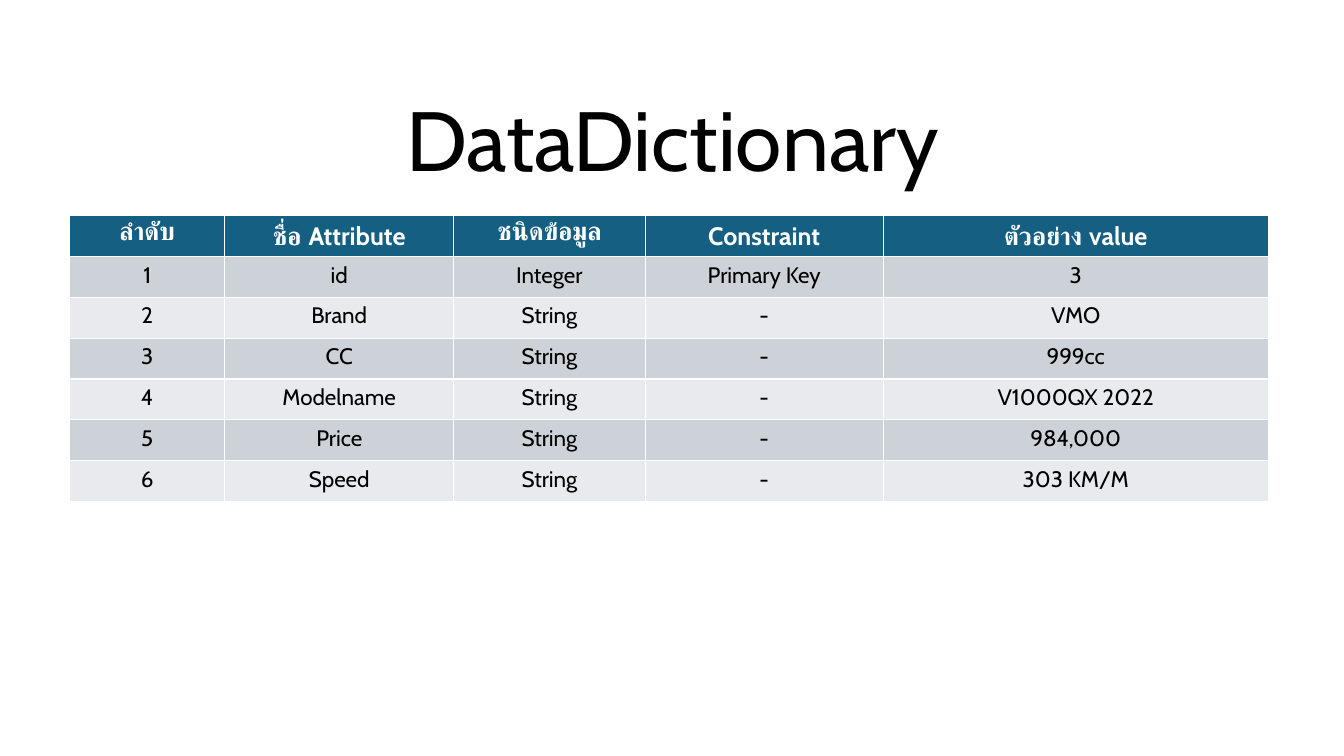
from pptx import Presentation
from pptx.dml.color import RGBColor
from pptx.enum.text import MSO_ANCHOR, PP_ALIGN
from pptx.util import Inches, Pt

CENTER = PP_ALIGN.CENTER
BOTTOM = MSO_ANCHOR.BOTTOM

COLORS = {
    "title": "000000",
    "header": "156082",
    "header_text": "FFFFFF",
    "odd_row": "CCD2D8",
    "even_row": "E8EAED",
    "body_text": "000000",
}
TITLE_FONT = {"name": "Cabin", "size": Pt(60), "bold": False}
HEADER_FONT = {"name": "Cabin", "size": Pt(18), "bold": True}
BODY_FONT = {"name": "Cabin", "size": Pt(16), "bold": False}

COL_WIDTHS = [1.54, 2.27, 1.9, 2.36, 3.82]
ROW_HEIGHT = 0.405
ROWS = [
    ["ลำดับ", "ชื่อ Attribute", "ชนิดข้อมูล", "Constraint", "ตัวอย่าง value"],
    ["1", "id", "Integer", "Primary Key", "3"],
    ["2", "Brand", "String", "-", "VMO"],
    ["3", "CC", "String", "-", "999cc"],
    ["4", "Modelname", "String", "-", "V1000QX 2022"],
    ["5", "Price", "String", "-", "984,000"],
    ["6", "Speed", "String", "-", "303 KM/M"],
]


def write_centered(tf, text, font, color):
    p = tf.paragraphs[0]
    p.alignment = CENTER
    r = p.add_run()
    r.text = text
    for name, value in font.items():
        setattr(r.font, name, value)
    r.font.color.rgb = RGBColor.from_string(COLORS[color])
    return p


prs = Presentation()
prs.slide_width, prs.slide_height = Inches(13.33), Inches(7.5)
s = prs.slides.add_slide(prs.slide_layouts[6])

# Title
title = s.shapes.add_textbox(Inches(3.59), Inches(0.52), Inches(6.16), Inches(1.41))
tf = title.text_frame
tf.word_wrap = True
tf.vertical_anchor = BOTTOM
write_centered(tf, "DataDictionary", TITLE_FONT, "title").line_spacing = 0.9

# Attribute table; the default table style draws the white borders
table = s.shapes.add_table(
    len(ROWS), len(COL_WIDTHS), Inches(0.69), Inches(2.14),
    Inches(sum(COL_WIDTHS)), Inches(ROW_HEIGHT * len(ROWS)),
).table
for column, width in zip(table.columns, COL_WIDTHS):
    column.width = Inches(width)

for i, values in enumerate(ROWS):
    table.rows[i].height = Inches(ROW_HEIGHT)
    if i == 0:
        fill, font, color = "header", HEADER_FONT, "header_text"
    else:
        fill, font, color = "odd_row" if i % 2 else "even_row", BODY_FONT, "body_text"
    for j, text in enumerate(values):
        cell = table.cell(i, j)
        cell.fill.solid()
        cell.fill.fore_color.rgb = RGBColor.from_string(COLORS[fill])
        write_centered(cell.text_frame, text, font, color)

prs.save("out.pptx")
